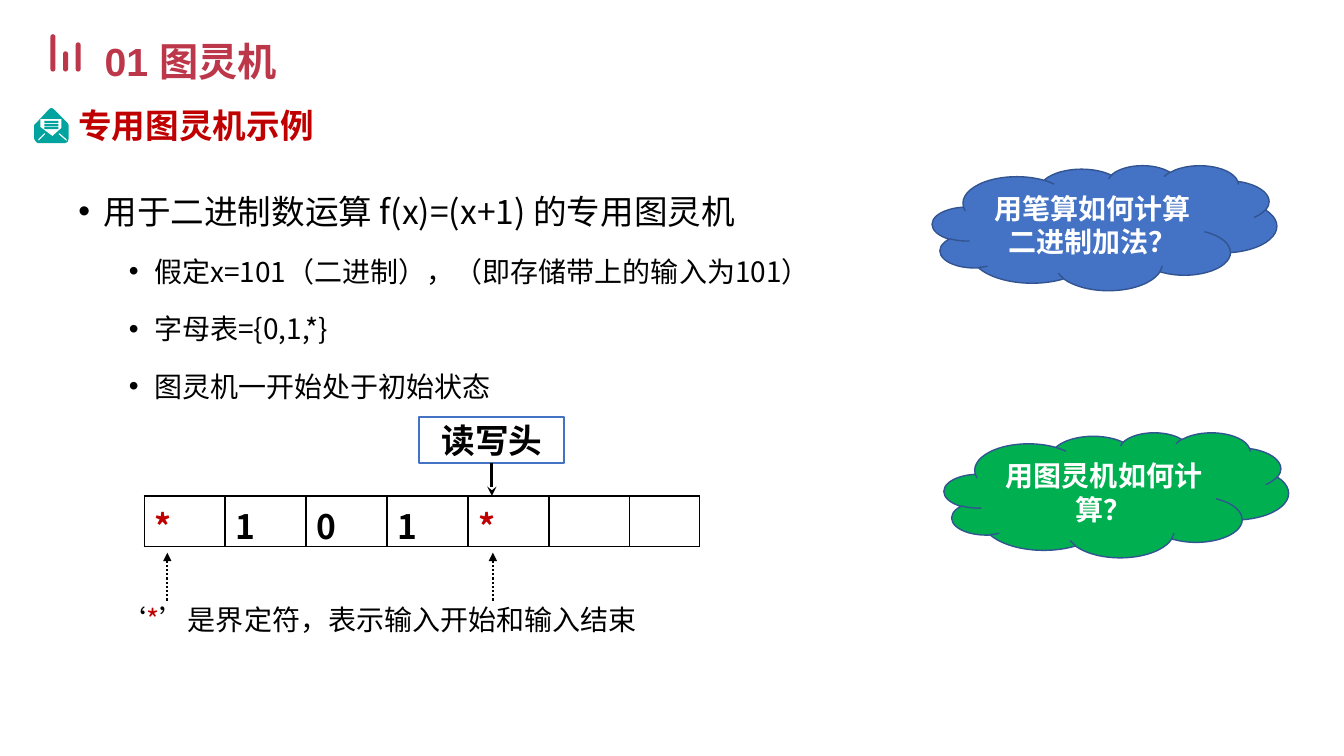
from lxml import etree
from pptx import Presentation
from pptx.dml.color import RGBColor
from pptx.enum.dml import MSO_LINE
from pptx.enum.shapes import MSO_CONNECTOR, MSO_SHAPE
from pptx.enum.text import MSO_ANCHOR, PP_ALIGN
from pptx.oxml.ns import qn
from pptx.util import Inches, Pt

ROUNDED, RECTANGLE, CLOUD = MSO_SHAPE.ROUNDED_RECTANGLE, MSO_SHAPE.RECTANGLE, MSO_SHAPE.CLOUD
STRAIGHT, DOTTED = MSO_CONNECTOR.STRAIGHT, MSO_LINE.ROUND_DOT
CENTER, MIDDLE = PP_ALIGN.CENTER, MSO_ANCHOR.MIDDLE
BOTTOM_SIDE = 2

CRIMSON = RGBColor(0xBD, 0x37, 0x4A)
RED = RGBColor(0xC0, 0x00, 0x00)
TEAL = RGBColor(0x00, 0xA3, 0x9E)
BLUE = RGBColor(0x44, 0x72, 0xC4)
NAVY = RGBColor(0x32, 0x54, 0x91)
GREEN = RGBColor(0x00, 0xB0, 0x50)
BLACK = RGBColor(0, 0, 0)
WHITE = RGBColor(0xFF, 0xFF, 0xFF)

UNIT = Inches(1) / 12  # the grid has 160 columns and 90 rows


def grid(*lengths):
    return [round(length * UNIT) for length in lengths]


def add_xml(parent, tag, **attributes):
    return etree.SubElement(parent, qn(tag), attributes)


class Lesson:
    typeface = "Noto Sans CJK SC"

    def __init__(self, slide):
        self.shapes = slide.shapes

    def style(self, font, size, color, bold=False, typeface=None):
        """Set a font for Latin and Chinese characters alike."""
        font.size, font.bold = Pt(size), bold
        font.color.rgb = color
        font.name = typeface or self.typeface
        add_xml(font._element, "a:ea", typeface=font.name)

    def text(self, box, words, size, color, **look):
        """Place one paragraph of text in a new box of the grid."""
        frame = self.shapes.add_textbox(*grid(*box)).text_frame
        frame.word_wrap = True
        paragraph = frame.paragraphs[0]
        paragraph.text = words
        self.style(paragraph.font, size, color, **look)
        return paragraph

    def mixed_text(self, box, parts, size):
        """Place one paragraph made of (words, color) parts."""
        frame = self.shapes.add_textbox(*grid(*box)).text_frame
        frame.word_wrap = True
        for words, color in parts:
            run = frame.paragraphs[0].add_run()
            run.text = words
            self.style(run.font, size, color)

    def bullets(self, box, topic, details):
        frame = self.shapes.add_textbox(*grid(*box)).text_frame
        frame.word_wrap = True
        for index, words in enumerate([topic, *details]):
            level = min(index, 1)
            paragraph = frame.add_paragraph() if index else frame.paragraphs[0]
            paragraph.text = words
            paragraph.level = level
            paragraph.line_spacing = 1.5
            if index:
                paragraph.space_before = Pt(5)
            properties = paragraph._p.get_or_add_pPr()
            properties.set("marL", str(Inches(0.25 + 0.5 * level)))
            properties.set("indent", str(-Inches(0.25)))
            add_xml(properties, "a:buFont", typeface="Arial")
            add_xml(properties, "a:buChar", char="•")
            self.style(paragraph.font, 24 - 4 * level, BLACK)

    def shape(self, preset, box, fill=None, line=None, width=1):
        shape = self.shapes.add_shape(preset, *grid(*box))
        self.paint(shape, fill, line, width)
        return shape

    def paint(self, shape, fill, line=None, width=1):
        shape.shadow.inherit = False
        if fill is None:
            shape.fill.background()
        else:
            shape.fill.solid()
            shape.fill.fore_color.rgb = fill
        if line is None:
            shape.line.fill.background()
        else:
            shape.line.color.rgb = line
            shape.line.width = Pt(width)

    def label(self, shape, words, size, color):
        """Write bold centred words in a shape."""
        frame = shape.text_frame
        frame.word_wrap = True
        frame.vertical_anchor = MIDDLE
        paragraph = frame.paragraphs[0]
        paragraph.text = words
        paragraph.alignment = CENTER
        self.style(paragraph.font, size, color, bold=True)

    def outline(self, contours, fill):
        """Draw closed contours as one shape; inner ones become holes."""
        scale = Inches(1) / 100
        builder = self.shapes.build_freeform(*contours[0][0], scale=scale)
        for index, (start, *others) in enumerate(contours):
            if index:
                builder.move_to(*start)
            builder.add_line_segments(others, close=True)
        self.paint(builder.convert_to_shape(), fill)

    def arrow(self, start, end, width, head, dash=None):
        connector = self.shapes.add_connector(STRAIGHT, *grid(*start, *end))
        connector.line.color.rgb = BLACK
        connector.line.width = Pt(width)
        if dash:
            connector.line.dash_style = dash
        add_xml(connector.line._get_or_add_ln(), "a:tailEnd", type=head)
        add_xml(connector._element.spPr, "a:effectLst")
        return connector

    def tape(self, box, symbols, widths):
        table = self.shapes.add_table(1, len(symbols), *grid(*box)).table
        table.first_row = table.horz_banding = False
        for column, width in zip(table.columns, grid(*widths)):
            column.width = width
        for cell, symbol in zip(table.rows[0].cells, symbols):
            cell.margin_top, cell.margin_bottom = Inches(0.05), 0
            paragraph = cell.text_frame.paragraphs[0]
            paragraph.text = symbol
            self.style(paragraph.font, 24, RED if symbol == "*" else BLACK, bold=True)
            for side in ("a:lnL", "a:lnR", "a:lnT", "a:lnB"):
                border = add_xml(cell._tc.get_or_add_tcPr(), side, w=str(Pt(1)))
                add_xml(add_xml(border, "a:solidFill"), "a:srgbClr", val=str(BLACK))
            cell.fill.background()


def rectangle(left, top, right, bottom):
    return [(left, top), (right, top), (right, bottom), (left, bottom)]


ENVELOPE = [
    [(49, 108), (51, 107), (53, 108), (67, 122), (68.5, 124), (68.5, 138), (67, 141),
     (64, 142), (38, 142), (36, 141), (34.5, 138), (34.5, 124), (36, 122)],
    [(40, 118), (40, 126), (52, 135), (61, 127), (61, 118)],
    *[rectangle(44, top, 58, top + 2) for top in (120, 123, 126)],
    [(37.5, 139.5), (45, 133), (44.5, 132), (37.5, 138)],
    [(66, 138), (59, 132), (58, 133), (65.5, 139.5)],
]


def main():
    deck = Presentation()
    deck.slide_width, deck.slide_height = grid(160, 90)
    lesson = Lesson(deck.slides.add_slide(deck.slide_layouts[6]))

    for left, height in ((6, 4.44), (7.5, 2.4), (9, 3.48)):
        bar = lesson.shape(ROUNDED, (left, 8.52 - height, 0.6, height), CRIMSON)
        bar.adjustments[0] = 0.5
    heading = lesson.text((11.28, 2.4, 54.5, 7.68), "01 图灵机", 28, CRIMSON,
                          bold=True, typeface="Arial")
    heading.line_spacing = 1.25
    lesson.outline(ENVELOPE, TEAL)
    lesson.text((8.16, 11.88, 31, 6), "专用图灵机示例", 24, RED, bold=True)

    lesson.bullets((8.16, 19.68, 140.6, 59.3), "用于二进制数运算 f(x)=(x+1) 的专用图灵机", [
        "假定x=101（二进制），（即存储带上的输入为101）",
        "字母表={0,1,*}",
        "图灵机一开始处于初始状态",
    ])

    for left, top, color, question in (
        (111, 19.68, BLUE, "用笔算如何计算二进制加法？"),
        (112.4, 51.48, GREEN, "用图灵机如何计算？"),
    ):
        cloud = lesson.shape(CLOUD, (left, top, 41, 14.88), color, NAVY)
        lesson.label(cloud, question, 20, WHITE)

    head = lesson.shape(RECTANGLE, (49.92, 49.68, 17.28, 5.4), line=BLUE, width=1.5)
    lesson.label(head, "读写头", 24, BLACK)
    pointer = lesson.arrow((58.56, 55.08), (58.56, 59.04), 2.25, "stealth")
    pointer.begin_connect(head, BOTTOM_SIDE)
    lesson.tape((17.16, 59.04, 66.12, 6), ["*", "1", "0", "1", "*", "", ""],
                [9.64] * 6 + [8.28])

    lesson.mixed_text((12.96, 71.16, 64.56, 5.28), [
        ("‘", BLACK), ("*", RED), ("’是界定符，表示输入开始和输入结束", BLACK)], 20)
    for delimiter in (19.92, 58.68):
        lesson.arrow((delimiter, 71.5), (delimiter, 65.8), 1.5, "triangle", DOTTED)

    deck.save("out.pptx")


if __name__ == "__main__":
    main()
